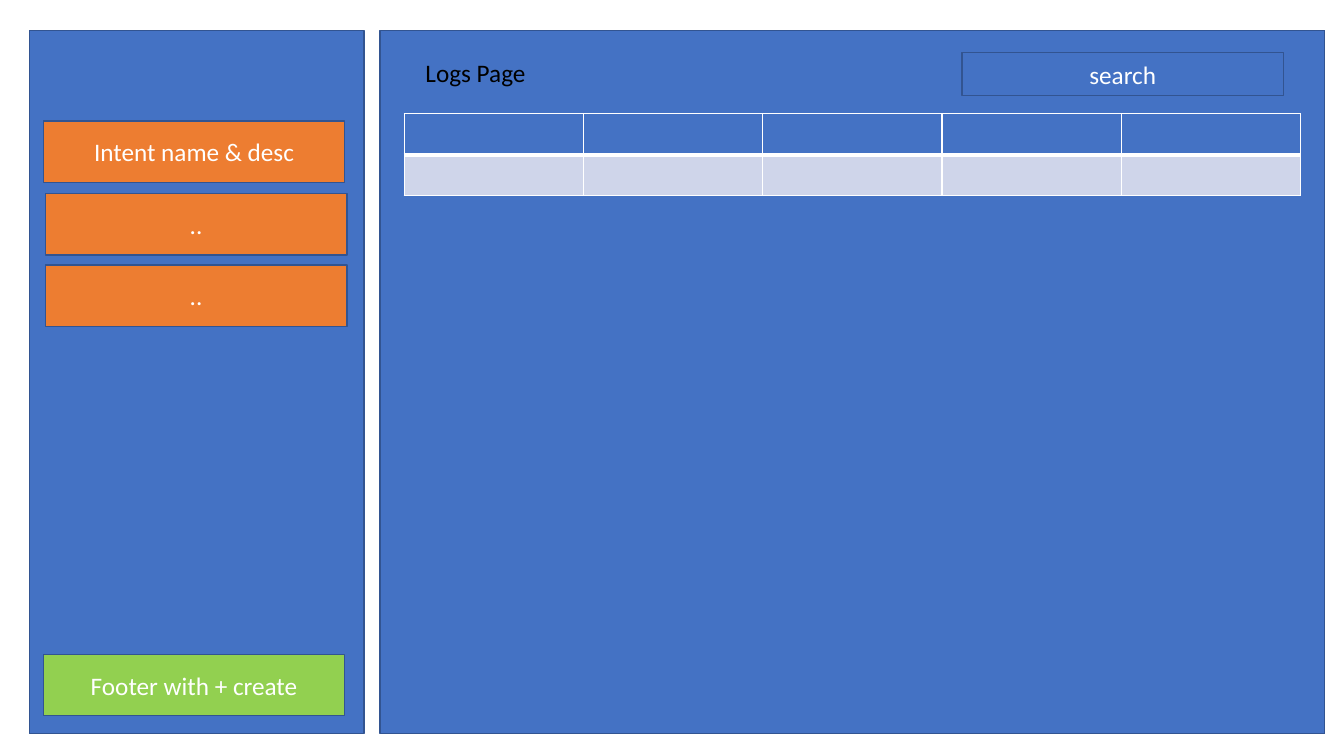
import pptx
import pptx.dml.color
import pptx.enum.shapes
import pptx.enum.text
import pptx.oxml.ns
import pptx.util
from lxml import etree
from pptx.util import Inches, Pt

BLUE, ORANGE, GREEN = "4472C4", "ED7D31", "92D050"
OUTLINE, WHITE, BLACK, PALE = "325491", "FFFFFF", "000000", "CFD5EA"
ALIGN = pptx.enum.text.PP_ALIGN
ANCHOR = pptx.enum.text.MSO_ANCHOR


def color(hex_value):
    return pptx.dml.color.RGBColor.from_string(hex_value)


def write(shape, text, text_color, align, anchor):
    frame = shape.text_frame
    frame.word_wrap = True
    frame.vertical_anchor = anchor
    para = frame.paragraphs[0]
    para.text = text
    para.alignment = align
    para.font.name = "Calibri"
    para.font.size = Pt(18)
    para.font.color.rgb = color(text_color)


def add_box(page, left, top, width, height, fill, text=""):
    box = page.shapes.add_shape(
        pptx.enum.shapes.MSO_SHAPE.RECTANGLE,
        Inches(left), Inches(top), Inches(width), Inches(height))
    box.shadow.inherit = False
    box.fill.solid()
    box.fill.fore_color.rgb = color(fill)
    box.line.color.rgb = color(OUTLINE)
    box.line.width = Pt(1)
    if text:
        write(box, text, WHITE, ALIGN.CENTER, ANCHOR.MIDDLE)


def set_borders(cell, widths):
    properties = cell._tc.get_or_add_tcPr()
    for side, width in zip("LRTB", widths):
        line = etree.SubElement(properties, pptx.oxml.ns.qn(f"a:ln{side}"), w=str(Pt(width)))
        fill = etree.SubElement(line, pptx.oxml.ns.qn("a:solidFill"))
        etree.SubElement(fill, pptx.oxml.ns.qn("a:srgbClr"), val=WHITE)


def add_log_table(page, left, top, width, height, columns=5):
    # Header row and one body row, divided by a thick rule
    rows = [(BLUE, (1, 1, 1, 3)), (PALE, (1, 1, 3, 1))]
    table = page.shapes.add_table(
        len(rows), columns,
        Inches(left), Inches(top), Inches(width), Inches(height)).table
    for row, (fill, widths) in zip(table.rows, rows):
        for cell in row.cells:
            set_borders(cell, widths)
            cell.fill.solid()
            cell.fill.fore_color.rgb = color(fill)


def add_sidebar(page, left, top, width, height):
    add_box(page, left, top, width, height, BLUE)
    # Intent cards, then the footer button
    cards = [
        (0.14, 0.9, ORANGE, "Intent name & desc"),
        (0.16, 1.62, ORANGE, ".."),
        (0.16, 2.33, ORANGE, ".."),
        (0.14, height - 0.79, GREEN, "Footer with + create"),
    ]
    for dx, dy, fill, text in cards:
        add_box(page, left + dx, top + dy, 2.99, 0.61, fill, text)


def add_logs_panel(page, left, top, width, height):
    add_box(page, left, top, width, height, BLUE)
    add_log_table(page, left + 0.24, top + 0.83, 8.89, 0.81)
    add_box(page, left + 5.77, top + 0.22, 3.19, 0.43, BLUE, "search")
    # Page title, brought in front of the panel
    title = page.shapes.title
    title.left, title.top = Inches(left + 0.35), Inches(top + 0.22)
    title.width, title.height = Inches(3.08), Inches(0.4)
    write(title, "Logs Page", BLACK, ALIGN.LEFT, ANCHOR.TOP)
    title.text_frame.auto_size = pptx.enum.text.MSO_AUTO_SIZE.SHAPE_TO_FIT_TEXT
    title.element.getparent().append(title.element)


deck = pptx.Presentation()
deck.slide_width, deck.slide_height = Inches(13.33), Inches(7.5)
page = deck.slides.add_slide(deck.slide_layouts.get_by_name("Title Only"))
add_sidebar(page, 0.29, 0.3, 3.32, 6.98)
add_logs_panel(page, 3.77, 0.3, 9.37, 6.98)
deck.save("out.pptx")
